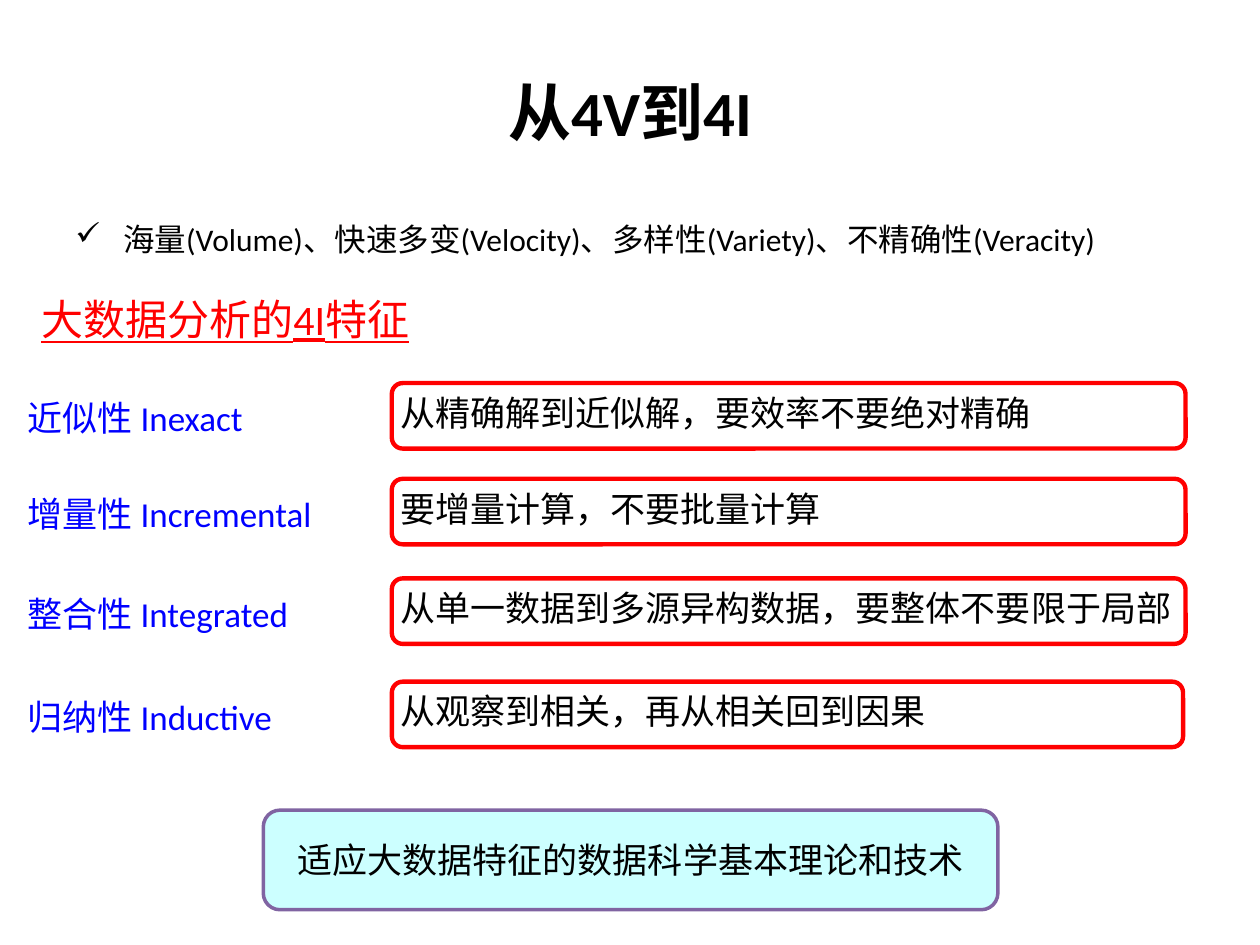
from lxml.etree import SubElement
from pptx import Presentation
from pptx.dml.color import RGBColor as RGB
from pptx.enum.shapes import MSO_SHAPE as Kind
from pptx.enum.text import MSO_ANCHOR as Anchor, PP_ALIGN as Align
from pptx.oxml.ns import qn
from pptx.util import Inches, Pt

COLORS = {"ink": "000000", "red": "FF0000", "blue": "0000FF",
          "white": "FFFFFF", "aqua": "CCFFFF", "plum": "8064A2"}
LATIN, HAN = "Calibri", "Noto Sans CJK SC"
ROWS = [
    (3.04, 6.3, "近似性 Inexact", "从精确解到近似解，要效率不要绝对精确"),
    (3.8, 6.3, "增量性 Incremental", "要增量计算，不要批量计算"),
    (4.59, 6.3, "整合性 Integrated", "从单一数据到多源异构数据，要整体不要限于局部"),
    (5.41, 6.28, "归纳性 Inductive", "从观察到相关，再从相关回到因果"),
]


class Deck:
    """Holds the style and the current slide."""

    def __init__(self):
        self.prs = Presentation()
        self.prs.slide_width = Inches(10)
        self.prs.slide_height = Inches(7.5)
        self.slide = self.prs.slides.add_slide(self.prs.slide_layouts[6])

    def color(self, name):
        return RGB.from_string(COLORS[name])

    def style(self, para, size, color="ink", face=LATIN):
        for run in para.runs:
            run.font.name = face
            run.font.size = Pt(size)
            run.font.color.rgb = self.color(color)

    def text(self, box, words, size, color="ink"):
        shape = self.slide.shapes.add_textbox(*map(Inches, box))
        frame = shape.text_frame
        frame.word_wrap = True
        frame.text = words
        for para in frame.paragraphs:
            self.style(para, size, color)
        return frame

    def indent(self, para, left, hang=0, mark=None):
        props = para._p.get_or_add_pPr()
        props.set("marL", str(Inches(left)))
        props.set("indent", str(Inches(hang)))
        if mark:
            SubElement(props, qn("a:buChar")).set("char", mark)

    def panel(self, box, words, fill, line, width, anchor, align):
        shape = self.slide.shapes.add_shape(
            Kind.ROUNDED_RECTANGLE, *map(Inches, box))
        shape.shadow.inherit = False
        shape.fill.solid()
        shape.fill.fore_color.rgb = self.color(fill)
        shape.line.color.rgb = self.color(line)
        shape.line.width = Pt(width)
        frame = shape.text_frame
        frame.margin_left = frame.margin_right = Inches(0.04)
        frame.margin_top = frame.margin_bottom = Inches(0.04)
        frame.vertical_anchor = anchor
        frame.text = words
        para = frame.paragraphs[0]
        para.alignment = align
        self.style(para, 20, face=HAN)

    def title(self, box, words):
        frame = self.text(box, words, 36)
        frame.vertical_anchor = Anchor.BOTTOM
        para = frame.paragraphs[0]
        para.alignment = Align.CENTER
        para.runs[0].font.bold = True

    def intro(self, box, item, head):
        frame = self.text(box, f"{item}\n{head}", 18)
        first, last = frame.paragraphs
        self.indent(first, 0.88, -0.38, "✓")
        self.indent(last, 0.23)
        first.line_spacing = last.line_spacing = 1.5
        last.space_before = Pt(6)
        self.style(last, 24, "red")
        last.runs[0].font.underline = True


def main():
    deck = Deck()
    deck.title((0, 0.21, 10, 1.02), "从4V到4I")
    deck.intro((0, 1.55, 10, 1.16),
               "海量(Volume)、快速多变(Velocity)、多样性(Variety)、不精确性(Veracity)",
               "大数据分析的4I特征")
    for top, width, name, words in ROWS:
        deck.text((0.12, top + 0.06, 2.99, 0.44), name, 20, "blue")
        deck.panel((3.11, top, width, 0.52), words, "white", "red", 2.5,
                   Anchor.TOP, Align.LEFT)
    deck.panel((2.09, 6.43, 5.83, 0.79), "适应大数据特征的数据科学基本理论和技术",
               "aqua", "plum", 2, Anchor.MIDDLE, Align.CENTER)
    deck.prs.save("out.pptx")


if __name__ == "__main__":
    main()
